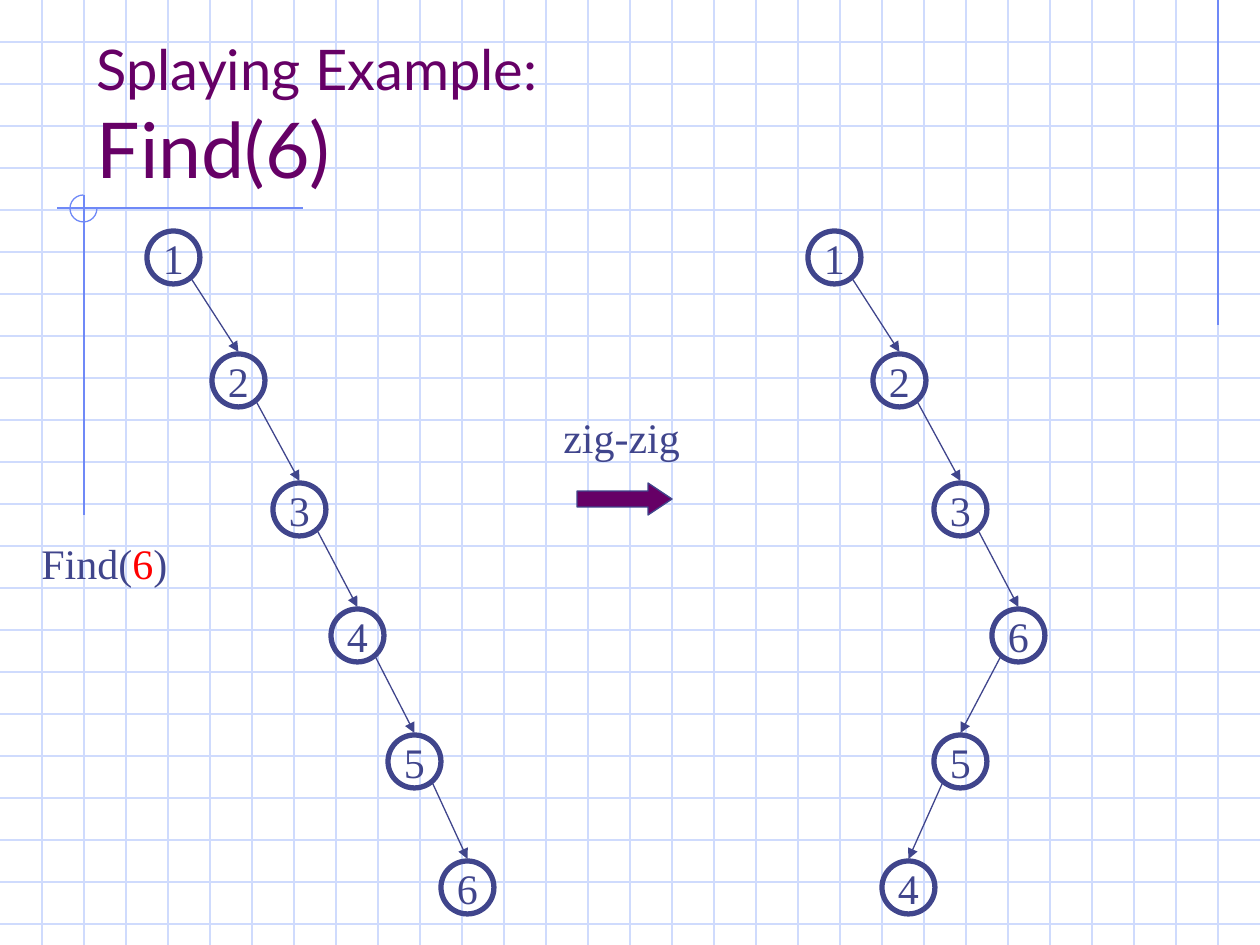
from dataclasses import dataclass
from itertools import pairwise

from lxml import etree
from pptx import Presentation
from pptx.dml.color import RGBColor
from pptx.enum.shapes import MSO_CONNECTOR, MSO_SHAPE
from pptx.enum.text import MSO_ANCHOR, MSO_AUTO_SIZE, PP_ALIGN
from pptx.oxml.ns import qn
from pptx.util import Emu, Pt

STRAIGHT = MSO_CONNECTOR.STRAIGHT
OVAL, ARC, RIGHT_ARROW = MSO_SHAPE.OVAL, MSO_SHAPE.ARC, MSO_SHAPE.RIGHT_ARROW
MIDDLE, BOTTOM = MSO_ANCHOR.MIDDLE, MSO_ANCHOR.BOTTOM
LEFT, CENTER = PP_ALIGN.LEFT, PP_ALIGN.CENTER
FIT_SHAPE = MSO_AUTO_SIZE.SHAPE_TO_FIT_TEXT


@dataclass(frozen=True)
class Theme:
    grid: RGBColor = RGBColor(0xCF, 0xDB, 0xFD)
    accent: RGBColor = RGBColor(0x6F, 0x89, 0xF7)
    ink: RGBColor = RGBColor(0x40, 0x45, 0x8C)
    purple: RGBColor = RGBColor(0x66, 0x00, 0x66)
    red: RGBColor = RGBColor(0xFF, 0x00, 0x00)
    title_font: str = "Lato"
    body_font: str = "Times New Roman"
    subtitle_size: Pt = Pt(32)
    title_size: Pt = Pt(44)
    body_size: Pt = Pt(24)
    thin: Pt = Pt(0.75)
    thick: Pt = Pt(3)


THEME = Theme()
PX = 914400 / 126
WIDTH, HEIGHT = 1260, 945
GRID_STEP = 42
NODE = 53


def box(*lengths):
    """Turn px lengths into EMU."""
    return [Emu(round(length * PX)) for length in lengths]


def add_line(start, end, color, arrow=False):
    line = slide.shapes.add_connector(STRAIGHT, *box(*start, *end))
    line.line.color.rgb = color
    line.line.width = THEME.thin
    properties = line._element.spPr
    if arrow:
        etree.SubElement(properties.find(qn("a:ln")), qn("a:tailEnd"), type="triangle")
    etree.SubElement(properties, qn("a:effectLst"))


prs = Presentation()
prs.slide_width, prs.slide_height = box(WIDTH, HEIGHT)
slide = prs.slides.add_slide(prs.slide_layouts[5])

# Graph-paper background
for y in range(GRID_STEP, HEIGHT, GRID_STEP):
    add_line((0, y), (WIDTH, y), THEME.grid)
for x in range(GRID_STEP, WIDTH - GRID_STEP + 1, GRID_STEP):
    add_line((x, 0), (x, HEIGHT), THEME.grid)

# Accent lines and the arc at their crossing
for start, end in (
    ((1218, 0), (1218, 325)),
    ((303, 208), (57, 208)),
    ((84, 195), (84, 515)),
):
    add_line(start, end, THEME.accent)
corner_arc = slide.shapes.add_shape(ARC, *box(70, 195, 27, 27))
corner_arc.adjustments[0] = 0
corner_arc.adjustments[1] = 162
corner_arc.shadow.inherit = False
corner_arc.fill.background()
corner_arc.line.color.rgb = THEME.accent
corner_arc.line.width = THEME.thin

# Title, brought in front of the grid
title = slide.shapes.title
slide.shapes._spTree.append(title._element)
title.left, title.top, title.width, title.height = box(84, 42, 1071, 158)
title.text_frame.vertical_anchor = BOTTOM
heading = title.text_frame.paragraphs[0]
heading.alignment = LEFT
for text, size in (("Splaying Example:", THEME.subtitle_size), ("Find(6)", THEME.title_size)):
    if heading.runs:
        heading.add_line_break()
    run = heading.add_run()
    run.text = text
    run.font.name = THEME.title_font
    run.font.size = size
    run.font.color.rgb = THEME.purple

# Trees before and after the zig-zig step: key and left edge, one per level
LEVEL_TOPS = (231, 354, 483, 609, 735, 861)
TREES = (
    (("1", 147), ("2", 212), ("3", 273), ("4", 331), ("5", 388), ("6", 441)),
    (("1", 808), ("2", 873), ("3", 934), ("6", 992), ("5", 934), ("4", 882)),
)
for tree in TREES:
    for (key, left), top in zip(tree, LEVEL_TOPS):
        node = slide.shapes.add_shape(OVAL, *box(left, top, NODE, NODE))
        node.shadow.inherit = False
        node.fill.background()
        node.line.color.rgb = THEME.ink
        node.line.width = THEME.thick
        node.text_frame.word_wrap = False
        node.text_frame.vertical_anchor = MIDDLE
        label = node.text_frame.paragraphs[0]
        label.alignment = CENTER
        run = label.add_run()
        run.text = key
        run.font.name = THEME.body_font
        run.font.size = THEME.body_size
        run.font.color.rgb = THEME.ink
    levels = [(left + NODE / 2, top) for (_, left), top in zip(tree, LEVEL_TOPS)]
    for (parent_x, parent_top), (child_x, child_top) in pairwise(levels):
        side = 18 if child_x > parent_x else -18
        add_line((parent_x + side, parent_top + 48), (child_x, child_top - 2), THEME.ink, arrow=True)

# Step arrow
step_arrow = slide.shapes.add_shape(RIGHT_ARROW, *box(577, 483, 95, 32))
step_arrow.adjustments[0] = 0.5
step_arrow.adjustments[1] = 0.75
step_arrow.shadow.inherit = False
step_arrow.fill.solid()
step_arrow.fill.fore_color.rgb = THEME.purple
step_arrow.line.color.rgb = THEME.ink
step_arrow.line.width = THEME.thin

# Captions, with a little spare width so that each stays on one line
CAPTIONS = (
    ((29, 531, 158, 63), (("Find(", THEME.ink), ("6", THEME.red), (")", THEME.ink))),
    ((551, 405, 150, 63), (("zig-zig", THEME.ink),)),
)
for place, parts in CAPTIONS:
    caption = slide.shapes.add_textbox(*box(*place)).text_frame
    caption.word_wrap = True
    caption.auto_size = FIT_SHAPE
    for text, color in parts:
        run = caption.paragraphs[0].add_run()
        run.text = text
        run.font.name = THEME.body_font
        run.font.size = THEME.body_size
        run.font.color.rgb = color

prs.save("out.pptx")
